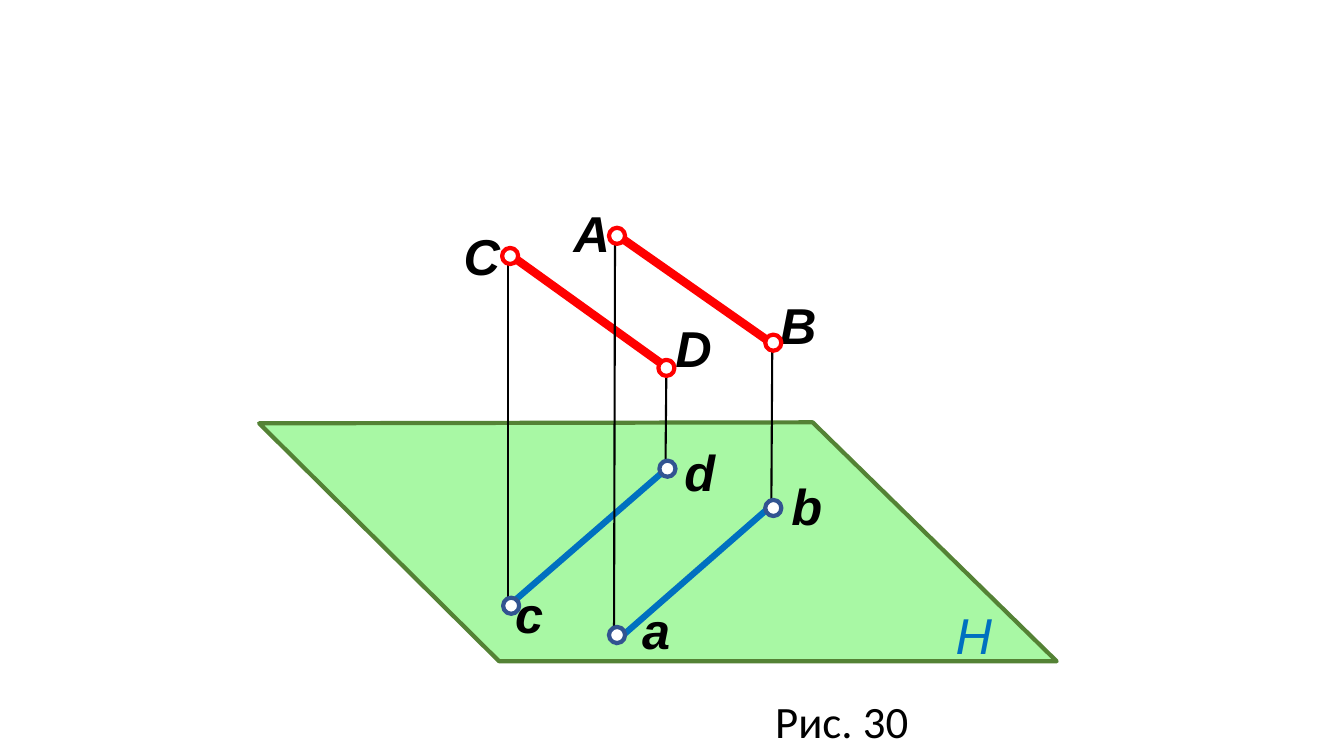
from dataclasses import dataclass

from lxml.etree import SubElement
from pptx import Presentation
from pptx.dml.color import RGBColor
from pptx.enum.shapes import MSO_CONNECTOR, MSO_SHAPE
from pptx.enum.text import MSO_AUTO_SIZE
from pptx.oxml.ns import qn
from pptx.slide import Slide
from pptx.util import Inches, Pt


@dataclass(frozen=True)
class Theme:
    plane_fill: RGBColor = RGBColor(0xA8, 0xF8, 0xA4)
    plane_edge: RGBColor = RGBColor(0x54, 0x82, 0x35)
    segment: RGBColor = RGBColor(0xFF, 0x00, 0x00)
    projection: RGBColor = RGBColor(0x00, 0x70, 0xC0)
    projection_ring: RGBColor = RGBColor(0x32, 0x54, 0x91)
    ink: RGBColor = RGBColor(0x00, 0x00, 0x00)
    paper: RGBColor = RGBColor(0xFF, 0xFF, 0xFF)
    label_font: str = "Arial"
    caption_font: str = "Calibri"
    label_size: int = 36
    caption_size: int = 32
    outline: float = 3
    segment_width: float = 6
    projection_width: float = 4.5
    projector_width: float = 1.5


THEME = Theme()
POINT_DIAMETER = 0.16
LABEL_HEIGHT = 0.71


@dataclass(frozen=True)
class Stroke:
    start: tuple[float, float]
    end: tuple[float, float]
    color: RGBColor
    width: float


@dataclass(frozen=True)
class Label:
    text: str
    left: float
    top: float
    width: float
    height: float = LABEL_HEIGHT
    color: RGBColor = THEME.ink
    font: str = THEME.label_font
    size: int = THEME.label_size
    bold: bool = True
    italic: bool = True
    wrap: bool = True


@dataclass(frozen=True)
class Point:
    left: float
    top: float
    ring: RGBColor


def segment(start: tuple[float, float], end: tuple[float, float]) -> Stroke:
    return Stroke(start, end, THEME.segment, THEME.segment_width)


def projection(start: tuple[float, float], end: tuple[float, float]) -> Stroke:
    return Stroke(start, end, THEME.projection, THEME.projection_width)


def projector(start: tuple[float, float], end: tuple[float, float]) -> Stroke:
    """Thin line that drops a point onto the plane."""
    return Stroke(start, end, THEME.ink, THEME.projector_width)


PLANE_CORNERS = [(2.57, 4.2), (8.06, 4.19), (10.48, 6.56), (4.95, 6.56)]

STROKES = [
    projection((5.01, 6.04), (6.6, 4.66)),
    projector((5.04, 5.98), (5.04, 2.48)),
    segment((6.62, 3.65), (5.02, 2.5)),
    projection((6.09, 6.38), (7.68, 4.99)),
    segment((7.66, 3.41), (6.09, 2.31)),
    projector((6.09, 6.36), (6.1, 2.29)),
    projector((6.6, 4.67), (6.61, 3.59)),
    projector((7.65, 5.04), (7.66, 3.38)),
]

LABELS = [
    Label("A", 5.59, 1.96, 0.48),
    Label("B", 7.64, 2.87, 0.41),
    Label("С", 4.5, 2.18, 0.52),
    Label("D", 6.6, 3.1, 0.5),
    Label("a", 6.27, 5.89, 0.62),
    Label("b", 7.75, 4.66, 0.5),
    Label("c", 5.01, 5.74, 0.62),
    Label("d", 6.69, 4.33, 0.62),
    Label("H", 9.38, 5.94, 0.89, color=THEME.projection, bold=False),
    Label("Рис. 30", 7.59, 6.83, 1.54, 0.64, font=THEME.caption_font,
          size=THEME.caption_size, bold=False, italic=False, wrap=False),
]

POINTS = [
    Point(6.04, 2.26, THEME.segment),
    Point(7.59, 3.32, THEME.segment),
    Point(4.98, 2.46, THEME.segment),
    Point(6.53, 3.57, THEME.segment),
    Point(6.04, 6.22, THEME.projection_ring),
    Point(7.59, 4.96, THEME.projection_ring),
    Point(4.99, 5.93, THEME.projection_ring),
    Point(6.54, 4.57, THEME.projection_ring),
]


def paint(shape, fill: RGBColor, edge: RGBColor) -> None:
    shape.shadow.inherit = False
    shape.fill.solid()
    shape.fill.fore_color.rgb = fill
    shape.line.color.rgb = edge
    shape.line.width = Pt(THEME.outline)


def draw_plane(page: Slide) -> None:
    corners = [(Inches(x), Inches(y)) for x, y in PLANE_CORNERS]
    builder = page.shapes.build_freeform(*corners[0])
    builder.add_line_segments(corners[1:], close=True)
    paint(builder.convert_to_shape(), THEME.plane_fill, THEME.plane_edge)


def draw_stroke(page: Slide, stroke: Stroke) -> None:
    ends = [Inches(value) for value in (*stroke.start, *stroke.end)]
    connector = page.shapes.add_connector(MSO_CONNECTOR.STRAIGHT, *ends)
    connector.line.color.rgb = stroke.color
    connector.line.width = Pt(stroke.width)
    SubElement(connector._element.spPr, qn("a:effectLst"))


def draw_label(page: Slide, label: Label) -> None:
    box = page.shapes.add_textbox(Inches(label.left), Inches(label.top),
                                  Inches(label.width), Inches(label.height))
    frame = box.text_frame
    frame.word_wrap = label.wrap
    frame.auto_size = MSO_AUTO_SIZE.SHAPE_TO_FIT_TEXT
    para = frame.paragraphs[0]
    para.text = label.text
    para.font.name = label.font
    para.font.size = Pt(label.size)
    para.font.bold = label.bold
    para.font.italic = label.italic
    para.font.color.rgb = label.color


def draw_point(page: Slide, point: Point) -> None:
    diameter = Inches(POINT_DIAMETER)
    circle = page.shapes.add_shape(MSO_SHAPE.OVAL, Inches(point.left),
                                   Inches(point.top), diameter, diameter)
    paint(circle, THEME.paper, point.ring)


def main() -> None:
    deck = Presentation()
    deck.slide_width = Inches(13.33)
    deck.slide_height = Inches(7.5)
    page = deck.slides.add_slide(deck.slide_layouts[6])
    draw_plane(page)
    for stroke in STROKES:
        draw_stroke(page, stroke)
    for label in LABELS:
        draw_label(page, label)
    for point in POINTS:
        draw_point(page, point)
    deck.save("out.pptx")


if __name__ == "__main__":
    main()
